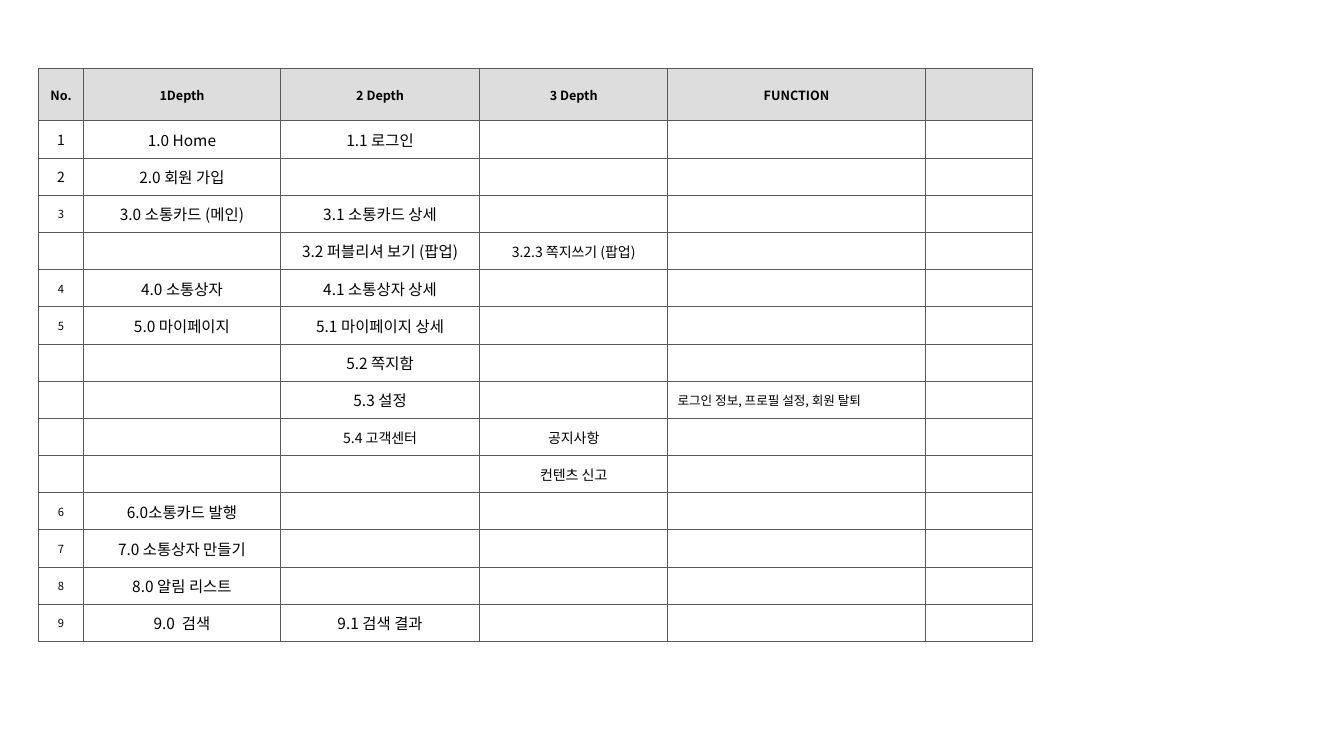
from lxml.etree import SubElement
from pptx import Presentation
from pptx.dml.color import RGBColor
from pptx.enum.text import MSO_ANCHOR as Anchor, PP_ALIGN as Align
from pptx.oxml.ns import qn
from pptx.util import Inches, Pt

COLORS = {"text": "000000", "header": "DDDDDD", "border": "595959"}
FONT = "Noto Sans CJK KR"

PAGE_SIZE = (13.33, 7.5)
TABLE_LEFT, TABLE_TOP = 0.38, 0.68
COLUMN_WIDTHS = [0.45, 1.95, 1.98, 1.86, 2.56, 1.06]
HEADER_HEIGHT, BODY_HEIGHT = 0.52, 5.17

HEADER = ["No.", "1Depth", "2 Depth", "3 Depth", "FUNCTION", ""]
HEADER_SIZE = 9
COLUMN_SIZES = [8, 11, 11, 10, 9, 9]
SPECIAL_SIZES = {"1": 10, "2": 10, "5.4 고객센터": 10}
FUNCTION_COLUMN = 4

MENU = [
    ["1", "1.0 Home", "1.1 로그인"],
    ["2", "2.0 회원 가입"],
    ["3", "3.0 소통카드 (메인)", "3.1 소통카드 상세"],
    ["", "", "3.2 퍼블리셔 보기 (팝업)", "3.2.3 쪽지쓰기 (팝업)"],
    ["4", "4.0 소통상자", "4.1 소통상자 상세"],
    ["5", "5.0 마이페이지", "5.1 마이페이지 상세"],
    ["", "", "5.2 쪽지함"],
    ["", "", "5.3 설정", "", "로그인 정보, 프로필 설정, 회원 탈퇴"],
    ["", "", "5.4 고객센터", "공지사항"],
    ["", "", "", "컨텐츠 신고"],
    ["6", "6.0소통카드 발행"],
    ["7", "7.0 소통상자 만들기"],
    ["8", "8.0 알림 리스트"],
    ["9", "9.0  검색", "9.1 검색 결과"],
]


def write_text(cell, text, size, bold=False, align=Align.CENTER):
    cell.vertical_anchor = Anchor.MIDDLE
    para = cell.text_frame.paragraphs[0]
    if not text:
        para._p.get_or_add_endParaRPr().set("sz", str(size * 100))
        return
    para.alignment = align
    para.space_before = Pt(size * 0.2)
    span = para.add_run()
    span.text = text
    span.font.size = Pt(size)
    span.font.bold = bold
    span.font.name = FONT
    span.font.color.rgb = RGBColor.from_string(COLORS["text"])
    SubElement(span.font._element, qn("a:ea"), typeface=FONT)


def draw_borders(cell, color, width=0.75):
    properties = cell._tc.get_or_add_tcPr()
    for index, side in enumerate(["lnL", "lnR", "lnT", "lnB"]):
        line = properties.makeelement(qn(f"a:{side}"), {"w": str(Pt(width))})
        fill = SubElement(line, qn("a:solidFill"))
        SubElement(fill, qn("a:srgbClr"), val=color)
        properties.insert(index, line)


def fill_cell(cell, color=None):
    if color:
        cell.fill.solid()
        cell.fill.fore_color.rgb = RGBColor.from_string(color)
    else:
        cell.fill.background()


def add_grid(page, row_count):
    frame = page.shapes.add_table(
        row_count, len(COLUMN_WIDTHS), Inches(TABLE_LEFT), Inches(TABLE_TOP),
        Inches(sum(COLUMN_WIDTHS)), Inches(HEADER_HEIGHT + BODY_HEIGHT))
    table = frame.table
    table.first_row = False
    table.horz_banding = False
    for column, width in zip(table.columns, COLUMN_WIDTHS):
        column.width = Inches(width)
    for row in table.rows:
        row.height = Inches(BODY_HEIGHT / (row_count - 1))
    table.rows[0].height = Inches(HEADER_HEIGHT)
    return table


def fill_header(table):
    for cell, text in zip(table.rows[0].cells, HEADER):
        fill_cell(cell, COLORS["header"])
        write_text(cell, text, HEADER_SIZE, bold=True)


def fill_menu(table):
    for row, entries in enumerate(MENU, start=1):
        texts = entries + [""] * (len(COLUMN_WIDTHS) - len(entries))
        for column, text in enumerate(texts):
            cell = table.cell(row, column)
            fill_cell(cell)
            size = SPECIAL_SIZES.get(text, COLUMN_SIZES[column])
            align = Align.LEFT if column == FUNCTION_COLUMN else Align.CENTER
            write_text(cell, text, size, align=align)


def main():
    deck = Presentation()
    deck.slide_width, deck.slide_height = map(Inches, PAGE_SIZE)
    page = deck.slides.add_slide(deck.slide_layouts.get_by_name("Blank"))
    table = add_grid(page, len(MENU) + 1)
    fill_header(table)
    fill_menu(table)
    for cell in table.iter_cells():
        draw_borders(cell, COLORS["border"])
    deck.save("out.pptx")


if __name__ == "__main__":
    main()
